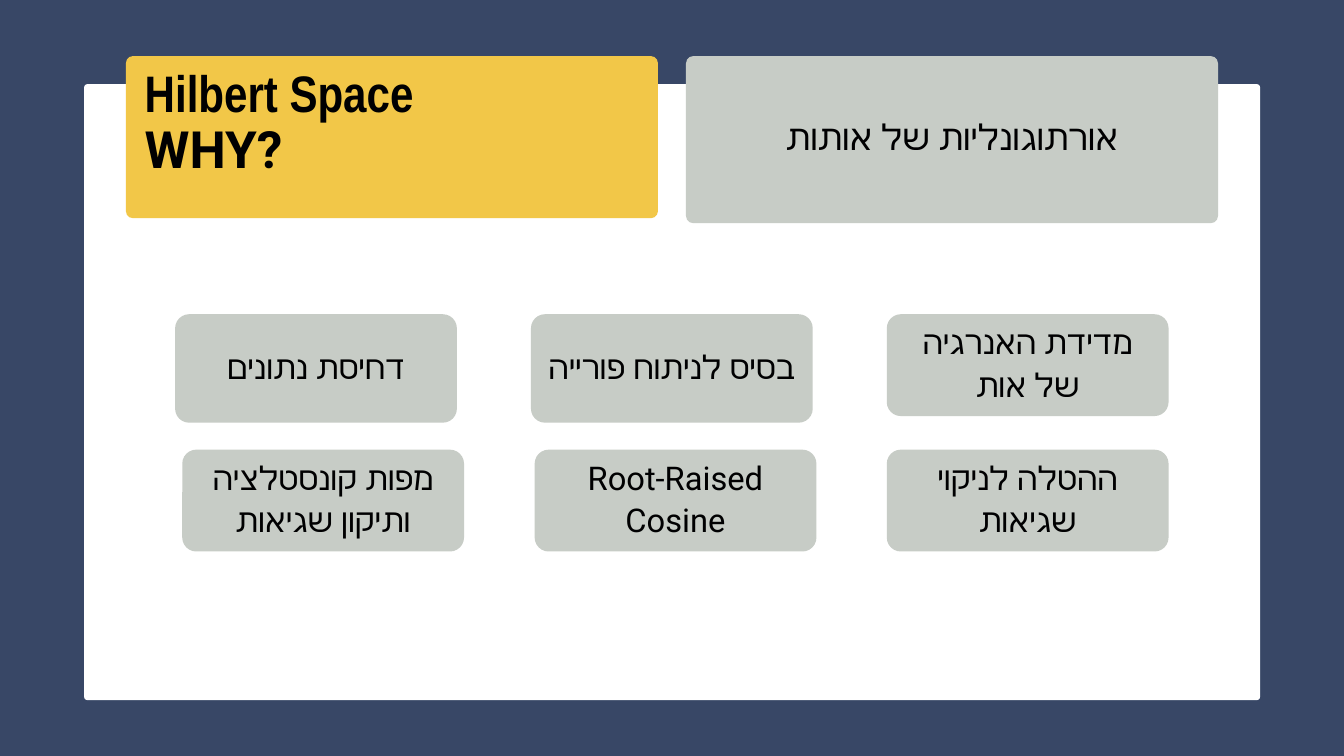
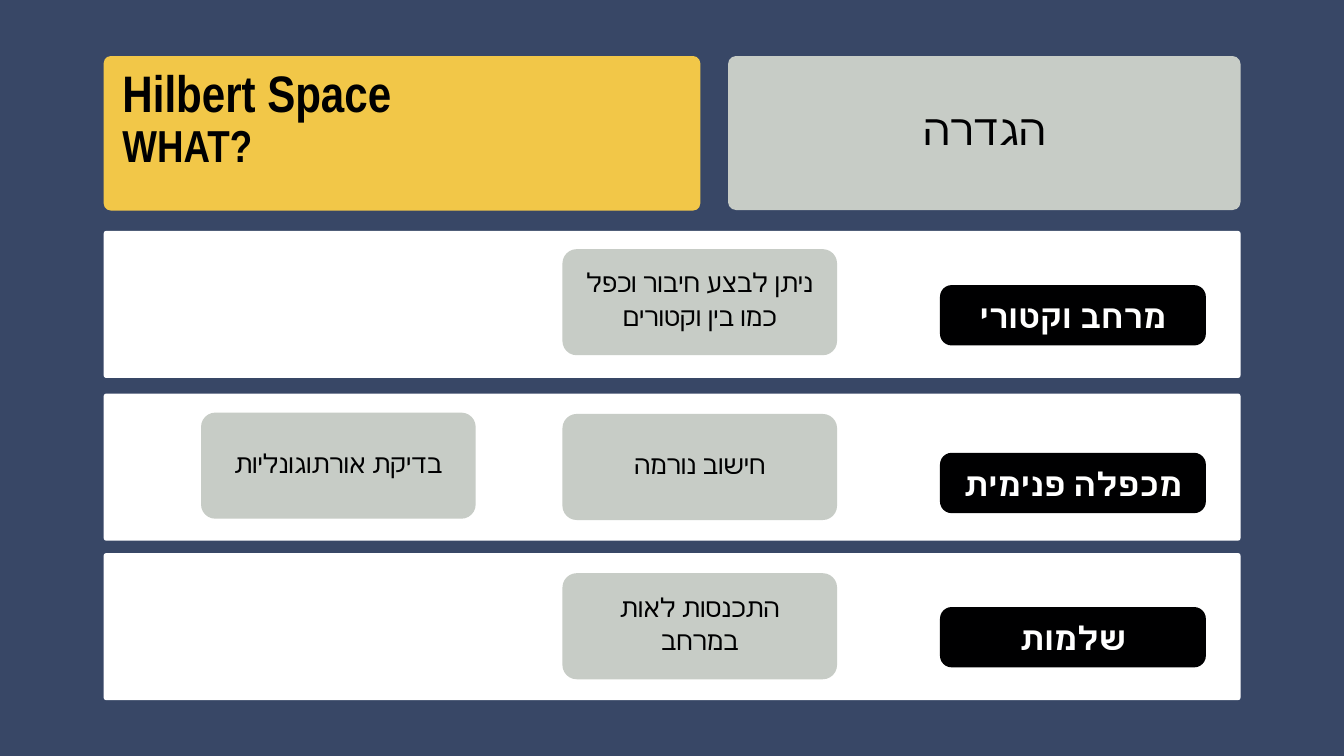
from lxml import etree
from pptx import Presentation
from pptx.dml.color import RGBColor
from pptx.enum.shapes import MSO_SHAPE
from pptx.enum.text import MSO_ANCHOR, MSO_AUTO_SIZE, PP_ALIGN
from pptx.oxml.ns import qn
from pptx.util import Cm, Pt

ROUNDED = MSO_SHAPE.ROUNDED_RECTANGLE
MIDDLE = MSO_ANCHOR.MIDDLE
LEFT, CENTER = PP_ALIGN.LEFT, PP_ALIGN.CENTER
NO_AUTOFIT = MSO_AUTO_SIZE.NONE

NAVY = RGBColor(0x38, 0x47, 0x66)
YELLOW = RGBColor(0xF2, 0xC7, 0x48)
GREY = RGBColor(0xC7, 0xCC, 0xC6)
WHITE = RGBColor(0xFF, 0xFF, 0xFF)
BLACK = RGBColor(0x00, 0x00, 0x01)

TITLE_FONT = "Arial Narrow"
HEADING_FONT = "Arial"
BODY_FONT = "Roboto"
HEADER_TOP = 2.12
TITLE_TOP = 1.02


def add_box(slide, left, top, width, height, fill, radius, text="", size=35,
            font=BODY_FONT, color=BLACK, bold=False, leading=1.3, lift=0.3, margin=0.28):
    """Add a rounded box; sizes in cm, lift is extra room below the text."""
    shape = slide.shapes.add_shape(ROUNDED, Cm(left), Cm(top), Cm(width), Cm(height))
    shape.adjustments[0] = radius / min(width, height)
    shape.shadow.inherit = False
    shape.fill.solid()
    shape.fill.fore_color.rgb = fill
    shape.line.fill.background()
    if not text:
        return
    frame = shape.text_frame
    frame.text = text
    frame.word_wrap = True
    frame.vertical_anchor = MIDDLE
    frame.margin_left = frame.margin_right = Cm(margin)
    frame.margin_top, frame.margin_bottom = Cm(0), Cm(lift)
    paragraph = frame.paragraphs[0]
    paragraph.alignment = CENTER
    paragraph.line_spacing = Pt(size * leading)
    if not text.isascii():
        paragraph._p.get_or_add_pPr().set("rtl", "1")
    run = paragraph.runs[0]
    run.font.name = font
    run.font.size = Pt(size)
    run.font.bold = bold
    run.font.color.rgb = color
    # Hebrew letters take the complex-script typeface
    etree.SubElement(run._r.rPr, qn("a:cs")).set("typeface", BODY_FONT)


def add_title(slide, left, width, height, question, question_font, question_size):
    add_box(slide, left, HEADER_TOP, width, height, YELLOW, 0.27)
    title = slide.shapes.title
    title._element.getparent().append(title._element)  # bring to front
    title.left, title.top = Cm(left), Cm(TITLE_TOP)
    title.width, title.height = Cm(width), Cm(HEADER_TOP - TITLE_TOP + height)
    frame = title.text_frame
    frame.text = f"Hilbert Space\n{question}"
    frame.word_wrap = True
    frame.auto_size = NO_AUTOFIT
    frame.vertical_anchor = MIDDLE
    frame.margin_left = frame.margin_right = Cm(0.71)
    frame.margin_top = frame.margin_bottom = Cm(0.71)
    styles = [(TITLE_FONT, 55), (question_font, question_size)]
    for paragraph, (font, size) in zip(frame.paragraphs, styles):
        paragraph.alignment = LEFT
        paragraph.line_spacing = Pt(size * 1.1)
        run = paragraph.runs[0]
        run.font.name = font
        run.font.size = Pt(size)
        run.font.bold = True
        run.font.color.rgb = BLACK


presentation = Presentation()
presentation.slide_width = Cm(50.8)
presentation.slide_height = Cm(28.58)
title_only = presentation.slide_layouts[5]
why_slide, what_slide = [presentation.slides.add_slide(title_only) for _ in range(2)]
for slide in (why_slide, what_slide):
    slide.background.fill.solid()
    slide.background.fill.fore_color.rgb = NAVY

# Slide 1: why
add_box(why_slide, 3.18, 3.18, 44.45, 23.29, WHITE, 0.13)
add_title(why_slide, 4.76, 20.11, 6.13, "WHY?", BODY_FONT, 55)
add_box(why_slide, 25.93, HEADER_TOP, 20.11, 6.32, GREY, 0.28,
        "אורתוגונליות של אותות", 38, HEADING_FONT, lift=0.38, margin=0.71)

reasons = [
    (33.52, 11.88, 3.85, "מדידת האנרגיה של אות"),
    (20.07, 11.88, 4.1, "בסיס לניתוח פורייה"),
    (6.62, 11.88, 4.1, "דחיסת נתונים"),
    (33.52, 17, 3.85, "ההטלה לניקוי שגיאות"),
    (20.21, 17, 3.85, "Root-Raised Cosine"),
    (6.89, 17, 3.85, "מפות קונסטלציה ותיקון שגיאות"),
]
for left, top, height, reason in reasons:
    add_box(why_slide, left, top, 10.65, height, GREY, 0.53, reason)

# Slide 2: what
add_title(what_slide, 3.92, 22.55, 5.84, "WHAT?", TITLE_FONT, 48)
add_box(what_slide, 27.52, HEADER_TOP, 19.37, 5.82, GREY, 0.3,
        "הגדרה", 46, HEADING_FONT, lift=0.48, margin=0.71)

# Each property: band top, label top, label, cards as (left, top, text)
properties = [
    (8.73, 10.78, "מרחב וקטורי", [(21.26, 9.42, "ניתן לבצע חיבור וכפל כמו בין וקטורים")]),
    (14.88, 17.12, "מכפלה פנימית", [(7.6, 15.6, "בדיקת אורתוגונליות"),
                                     (21.26, 15.65, "חישוב נורמה")]),
    (20.91, 22.95, "שלמות", [(21.26, 21.67, "התכנסות לאות במרחב")]),
]
for band_top, label_top, label, cards in properties:
    add_box(what_slide, 3.92, band_top, 42.97, 5.56, WHITE, 0.1)
    add_box(what_slide, 35.53, label_top, 10.05, 2.28, BLACK, 0.44, label,
            color=WHITE, bold=True, leading=1.2, lift=0)
    for left, top, meaning in cards:
        add_box(what_slide, left, top, 10.38, 4.01, GREY, 0.54, meaning, 28,
                HEADING_FONT, margin=0.5)

presentation.save("out.pptx")
